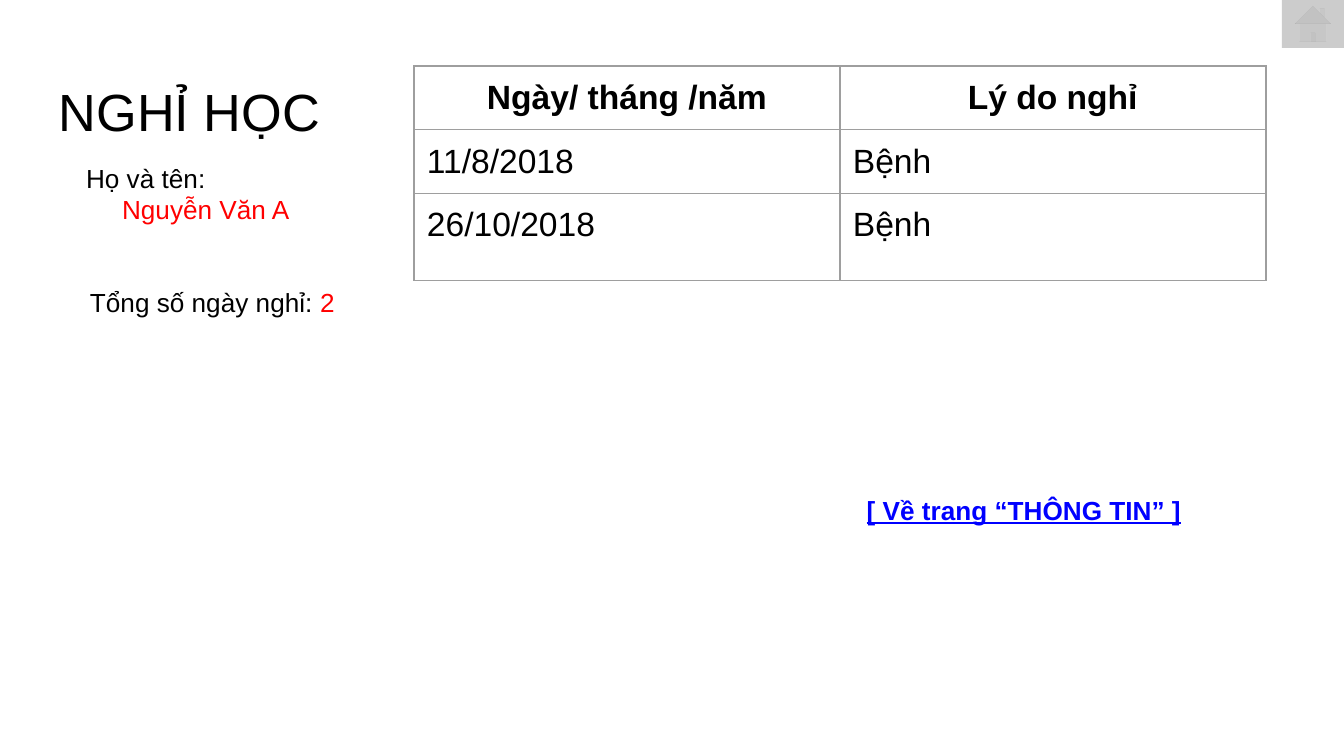
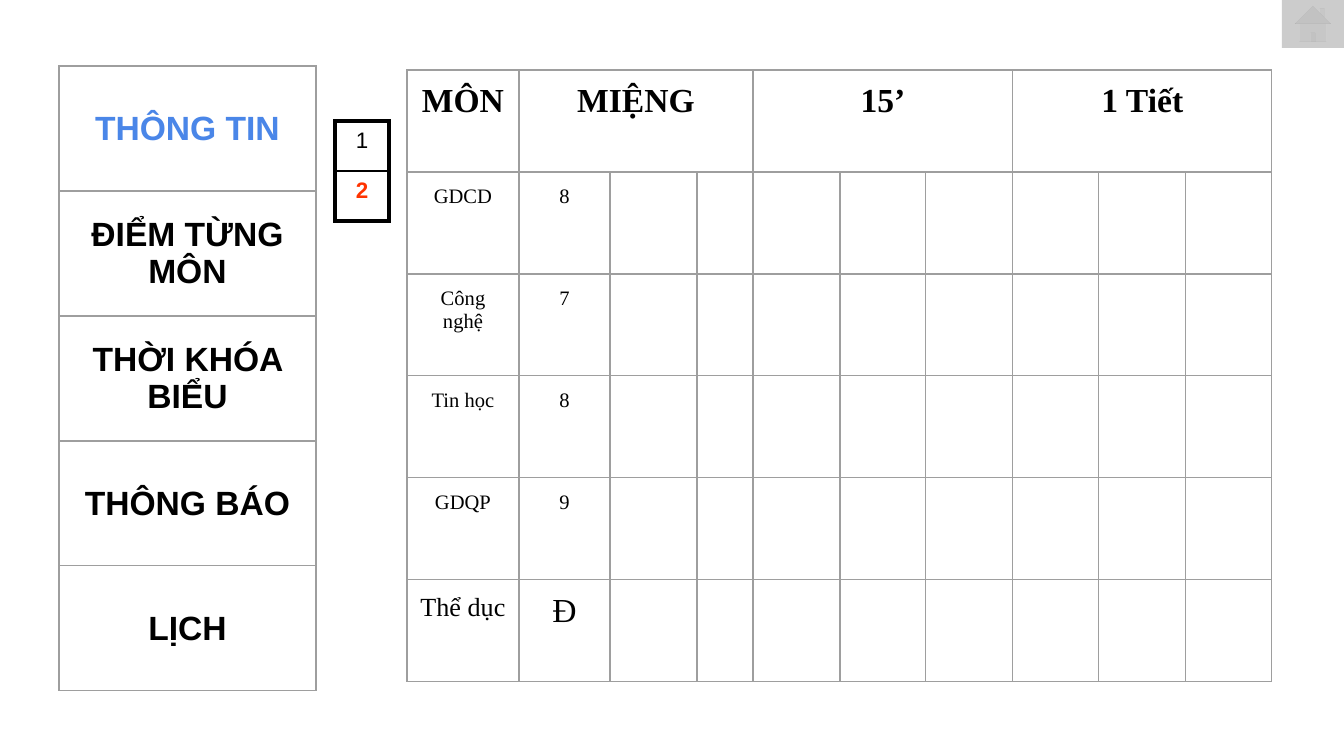
"""Build two school record slides: absences and grades."""
import pptx
import pptx.dml.color
import pptx.enum.shapes
import pptx.enum.text
import pptx.oxml.ns
import pptx.util
from lxml import etree

PX = 914400 / 134.4
BLACK, RED, GREY = "000000", "FF0000", "9E9E9E"
SANS, SERIF = "Arial", "Times New Roman"
LEFT = pptx.enum.text.PP_ALIGN.LEFT
CENTER = pptx.enum.text.PP_ALIGN.CENTER
TOP = pptx.enum.text.MSO_ANCHOR.TOP
MIDDLE = pptx.enum.text.MSO_ANCHOR.MIDDLE
qn = pptx.oxml.ns.qn


def px(length):
    return pptx.util.Emu(round(length * PX))


def color(value):
    return pptx.dml.color.RGBColor.from_string(value)


class Deck:
    def __init__(self):
        self.show = pptx.Presentation()
        self.show.slide_width, self.show.slide_height = px(1344), px(756)
        self.slide = None
        self.inset = 13

    def new_slide(self, layout):
        self.slide = self.show.slides.add_slide(self.show.slide_layouts[layout])

    def add_text_run(self, paragraph, text, size, ink=BLACK, font=SANS, bold=False,
                     underline=False):
        run = paragraph.add_run()
        run.text = text
        run.font.size = pptx.util.Pt(size)
        run.font.name = font
        run.font.bold = bold
        run.font.underline = underline
        run.font.color.rgb = color(ink)

    def frame(self, frame):
        frame.word_wrap = True
        frame.auto_size = pptx.enum.text.MSO_AUTO_SIZE.NONE
        frame.vertical_anchor = TOP
        frame.margin_left = frame.margin_right = px(self.inset)
        frame.margin_top = frame.margin_bottom = px(self.inset)
        return frame

    def title(self, text, left, top, width, height):
        title = self.slide.shapes.title
        title.left, title.top, title.width, title.height = map(px, (left, top, width, height))
        heading = self.frame(title.text_frame).paragraphs[0]
        heading.alignment = LEFT
        self.add_text_run(heading, text, 28)

    def text(self, left, top, width, height, align=LEFT):
        box = self.slide.shapes.add_textbox(*map(px, (left, top, width, height)))
        paragraph = self.frame(box.text_frame).paragraphs[0]
        paragraph.alignment = align
        return box.text_frame, paragraph

    def home_button(self):
        button = self.slide.shapes.add_shape(
            pptx.enum.shapes.MSO_SHAPE.ACTION_BUTTON_HOME, *map(px, (1282, 0, 62, 48)))
        button.shadow.inherit = False
        button.fill.solid()
        button.fill.fore_color.rgb = color("595959")
        button.line.fill.background()
        tint = button._element.spPr.find(".//" + qn("a:srgbClr"))
        etree.SubElement(tint, qn("a:alpha"), val="30000")

    def table(self, left, top, widths, heights):
        bounds = map(px, (left, top, sum(widths), sum(heights)))
        table = self.slide.shapes.add_table(len(heights), len(widths), *bounds).table
        table.first_row = table.horz_banding = False
        for column, width in zip(table.columns, widths):
            column.width = px(width)
        for row, height in zip(table.rows, heights):
            row.height = px(height)
        for cell in table.iter_cells():
            self.border(cell)
            self.pad(cell, self.inset)
        return table

    def pad(self, cell, vertical):
        cell.margin_left = cell.margin_right = px(self.inset)
        cell.margin_top = cell.margin_bottom = px(vertical)

    def border(self, cell, ink=GREY, left=0.75, right=0.75, top=0.75, bottom=0.75):
        properties = cell._tc.get_or_add_tcPr()
        for old in list(properties):
            properties.remove(old)
        for side, points in zip("LRTB", (left, right, top, bottom)):
            line = etree.SubElement(properties, qn("a:ln" + side), w=str(pptx.util.Pt(points)))
            fill = etree.SubElement(line, qn("a:solidFill"))
            etree.SubElement(fill, qn("a:srgbClr"), val=ink)
        cell.fill.background()

    def cell_text(self, cell, text, size, align=CENTER, anchor=TOP, **style):
        cell.vertical_anchor = anchor
        paragraph = cell.text_frame.paragraphs[0]
        paragraph.alignment = align
        self.add_text_run(paragraph, text, size, **style)


def absences(deck):
    deck.new_slide(5)
    deck.title("NGHỈ HỌC", 46, 66, 1253, 85)

    days = deck.table(414, 66, [426, 426], [39, 40, 87])
    records = [("Ngày/ tháng /năm", "Lý do nghỉ"), ("11/8/2018", "Bệnh"), ("26/10/2018", "Bệnh")]
    for row, record in enumerate(records):
        for column, entry in enumerate(record):
            deck.cell_text(days.cell(row, column), entry, 18,
                           align=LEFT if row else CENTER, bold=row == 0)

    student, label = deck.text(73, 149, 262, 85)
    deck.add_text_run(label, "Họ và tên:", 14)
    name = student.add_paragraph()
    name._p.get_or_add_pPr().set("marL", str(px(36)))
    deck.add_text_run(name, "Nguyễn Văn A", 14, RED)

    _, total = deck.text(77, 273, 300, 85)
    deck.add_text_run(total, "Tổng số ngày nghỉ: ", 14)
    deck.add_text_run(total, "2", 14, RED)

    _, back = deck.text(828, 481, 392, 120, CENTER)
    deck.add_text_run(back, "[ Về trang “THÔNG TIN” ]", 14, "0000FF", bold=True, underline=True)
    deck.home_button()


def grades(deck):
    deck.new_slide(6)
    scores = deck.table(407, 70, [112, 91, 87, 56] + [87, 86] * 3, [102] * 6)
    deck.cell_text(scores.cell(0, 0), "MÔN", 18, font=SERIF, bold=True)
    for column, test in zip((1, 4, 7), ("MIỆNG", "15’", "1 Tiết")):
        scores.cell(0, column).merge(scores.cell(0, column + 2))
        deck.cell_text(scores.cell(0, column), test, 18, font=SERIF, bold=True)
    subjects = [("GDCD", "8", 11, 11), ("Công nghệ", "7", 11, 11), ("Tin học", "8", 11, 11),
                ("GDQP", "9", 11, 11), ("Thể dục", "Đ", 14, 18)]
    for row, (subject, score, subject_size, score_size) in enumerate(subjects, 1):
        deck.cell_text(scores.cell(row, 0), subject, subject_size, font=SERIF)
        deck.cell_text(scores.cell(row, 1), score, score_size, font=SERIF)

    pages = deck.table(335, 121, [54], [50, 50])
    first, current = pages.iter_cells()
    deck.border(first, BLACK, 2.25, 2.25, 2.25, 1)
    deck.border(current, BLACK, 2.25, 2.25, 1, 2.25)
    for page in (first, current):
        deck.pad(page, 7)
    deck.cell_text(first, "1", 12)
    deck.cell_text(current, "2", 12, ink="FF3300", bold=True)

    deck.home_button()

    sections = ["THÔNG TIN", "ĐIỂM TỪNG MÔN", "THỜI KHÓA BIỂU", "THÔNG BÁO", "LỊCH"]
    menu = deck.table(59, 66, [257], [125] * len(sections))
    for row, section in enumerate(sections):
        deck.cell_text(menu.cell(row, 0), section, 18, anchor=MIDDLE, bold=True,
                       ink=BLACK if row else "4A86E8")


def main():
    deck = Deck()
    absences(deck)
    grades(deck)
    deck.show.save("out.pptx")


if __name__ == "__main__":
    main()
